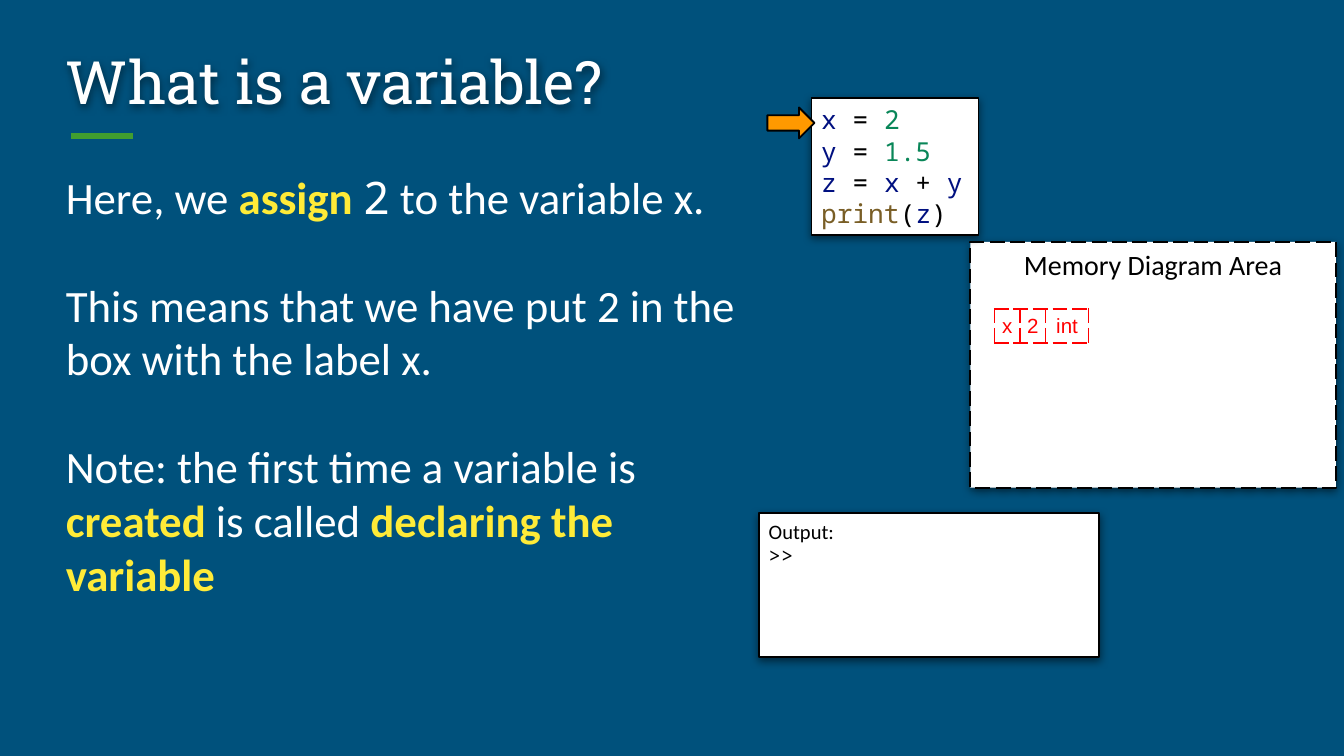
from lxml.etree import SubElement
from pptx import Presentation
from pptx.dml.color import RGBColor
from pptx.enum.dml import MSO_LINE
from pptx.enum.shapes import MSO_CONNECTOR, MSO_SHAPE
from pptx.enum.text import MSO_ANCHOR, PP_ALIGN
from pptx.oxml import parse_xml
from pptx.oxml.ns import nsdecls, qn
from pptx.util import Inches, Pt


def hue(code):
    return RGBColor.from_string(code)


def write(para, runs, size, font):
    for text, color, *more in runs:
        if text == "\n":
            para.add_line_break()
            continue
        run = para.add_run()
        run.text = text
        run.font.size = Pt(size)
        run.font.name = more[0] if more else font
        run.font.bold = color == GOLD
        run.font.color.rgb = hue(color)


WHITE, BLACK, GOLD, RED = "FFFFFF", "000000", "FFEB38", "FF0000"
NAVY, GREEN, BROWN = "001080", "098658", "795E26"
SANS, MONO = "Calibri", "Noto Sans Mono"
LEFT, MID = PP_ALIGN.LEFT, PP_ALIGN.CENTER
SHADOW = (
    f'<a:effectLst {nsdecls("a")}><a:outerShdw blurRad="57150" dist="19050" '
    'dir="5400000" algn="bl" rotWithShape="0"><a:srgbClr val="000000">'
    '<a:alpha val="50000"/></a:srgbClr></a:outerShdw></a:effectLst>'
)

deck = Presentation()
deck.slide_width = Inches(10)
deck.slide_height = Inches(10 * 9 / 16)
slide = deck.slides.add_slide(deck.slide_layouts[6])
slide.background.fill.solid()
slide.background.fill.fore_color.rgb = hue("00517C")
shapes = slide.shapes

rule = shapes.add_connector(
    MSO_CONNECTOR.STRAIGHT, Inches(0.53), Inches(1.01), Inches(0.99), Inches(1.01))
rule.line.color.rgb = hue("419E2F")
rule.line.width = Pt(3)
SubElement(rule._element.spPr, qn("a:effectLst"))

title = [[("What is a variable?", WHITE)]]
body = [
    [("Here, we ", WHITE), ("assign ", GOLD), ("2", WHITE, MONO),
     (" to the variable x.", WHITE)],
    [("This means that we have put 2 in the box with the label x.", WHITE)],
    [("Note: the first time a variable is ", WHITE), ("created ", GOLD),
     ("is called ", WHITE), ("declaring the variable", GOLD)],
]
output = [[("Output:", BLACK), ("\n", BLACK), (">>", BLACK, MONO)]]
memory = [[("Memory Diagram Area", BLACK)]]
code = [
    [("x", NAVY), (" = ", BLACK), ("2", GREEN)],
    [("y", NAVY), (" = ", BLACK), ("1.5", GREEN)],
    [("z", NAVY), (" = ", BLACK), ("x", NAVY), (" + ", BLACK), ("y", NAVY)],
    [("print", BROWN), ("(", BLACK), ("z", NAVY), (")", BLACK)],
]

plain = [
    ((0.42, 0.26, 9.15, 0.75), title, 32, "Roboto Slab", MSO_ANCHOR.MIDDLE, 0.9, 0),
    ((0.42, 1.22, 5.23, 3.77), body, 24, SANS, MSO_ANCHOR.TOP, 1, 29),
]
framed = [
    ((5.65, 3.82, 2.53, 1.07), output, 11, SANS, LEFT, 1, None),
    ((7.22, 1.8, 2.72, 1.83), memory, 15, SANS, MID, 1, MSO_LINE.LONG_DASH),
    ((6.04, 0.73, 1.24, 1.02), code, 14, MONO, LEFT, 0.75, None),
]

jobs = []
for spot, paras, size, font, anchor, pitch, gap in plain:
    box = shapes.add_textbox(*map(Inches, spot))
    if paras is title:
        box._element.spPr.append(parse_xml(SHADOW))
    jobs.append((box, paras, size, font, LEFT, anchor, pitch, gap))

for spot, paras, size, font, align, width, dash in framed:
    box = shapes.add_shape(MSO_SHAPE.RECTANGLE, *map(Inches, spot))
    box.fill.solid()
    box.fill.fore_color.rgb = hue(WHITE)
    box.line.color.rgb = hue(BLACK)
    box.line.width = Pt(width)
    if dash:
        box.line.dash_style = dash
    box._element.spPr.append(parse_xml(SHADOW))
    jobs.append((box, paras, size, font, align, MSO_ANCHOR.TOP, 1, 0))

for box, paras, size, font, align, anchor, pitch, gap in jobs:
    frame = box.text_frame
    frame.word_wrap = True
    frame.vertical_anchor = anchor
    frame.margin_left = frame.margin_right = Inches(0.07)
    frame.margin_top = frame.margin_bottom = Inches(0.04)
    for i, runs in enumerate(paras):
        para = frame.add_paragraph() if i else frame.paragraphs[0]
        para.alignment = align
        para.line_spacing = pitch
        if i and gap:
            para.space_before = Pt(gap)
        write(para, runs, size, font)

wide = [0.19, 0.19, 0.32]
table = shapes.add_table(
    1, 3, Inches(7.4), Inches(2.3), Inches(sum(wide)), Inches(0.25)).table
table.first_row = table.horz_banding = False
for i, text in enumerate(["x", "2", "int"]):
    table.columns[i].width = Inches(wide[i])
    cell = table.cell(0, i)
    cell.margin_left = cell.margin_right = 0
    cell.margin_top = cell.margin_bottom = 0
    cell.vertical_anchor = MSO_ANCHOR.MIDDLE
    para = cell.text_frame.paragraphs[0]
    para.alignment = MID
    write(para, [(text, RED)], 11, "Arial")
    props = cell._tc.get_or_add_tcPr()
    for side in "LRTB":
        edge = SubElement(props, qn(f"a:ln{side}"), w=str(Pt(1)))
        paint = SubElement(edge, qn("a:solidFill"))
        SubElement(paint, qn("a:srgbClr"), val=RED)
        SubElement(edge, qn("a:prstDash"), val="lgDash")
    cell.fill.background()

arrow = shapes.add_shape(
    MSO_SHAPE.RIGHT_ARROW, Inches(5.71), Inches(0.8), Inches(0.35), Inches(0.23))
arrow.shadow.inherit = False
arrow.fill.solid()
arrow.fill.fore_color.rgb = hue("FF9900")
arrow.line.color.rgb = hue(BLACK)
arrow.line.width = Pt(1)

deck.save("out.pptx")
